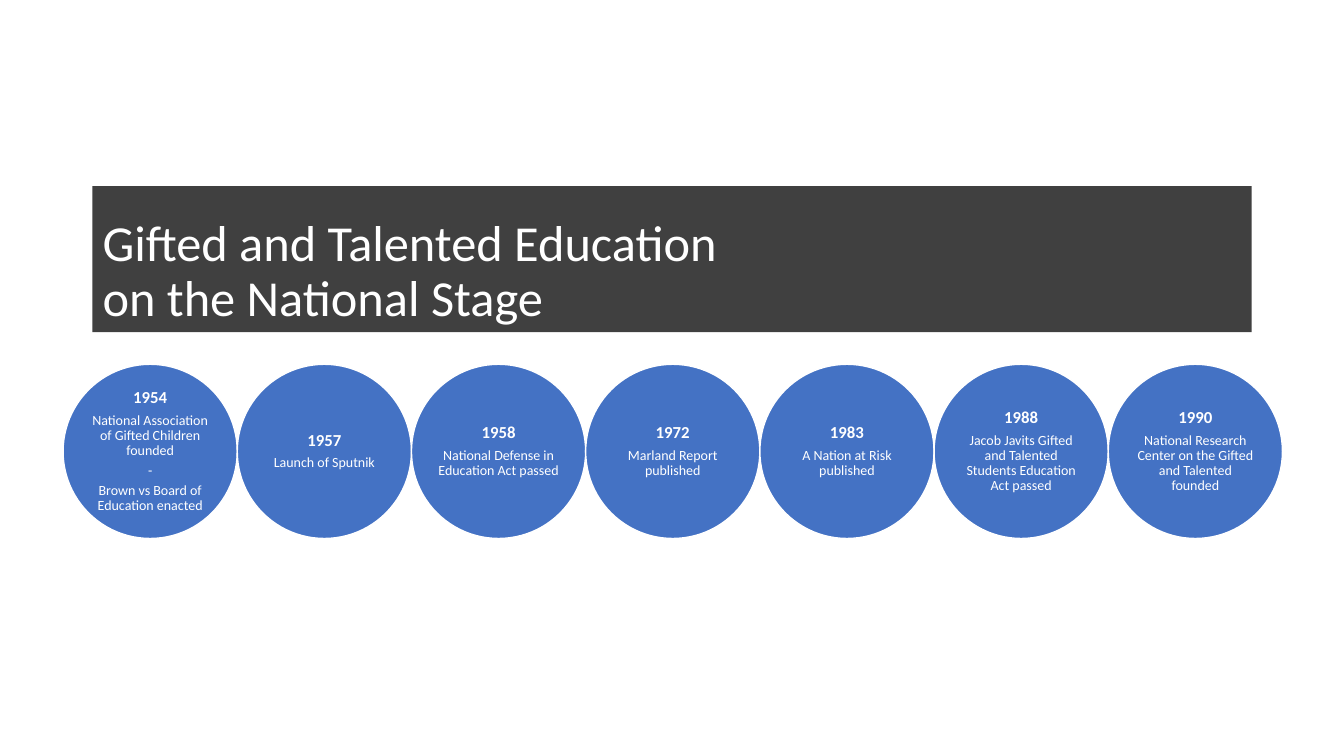
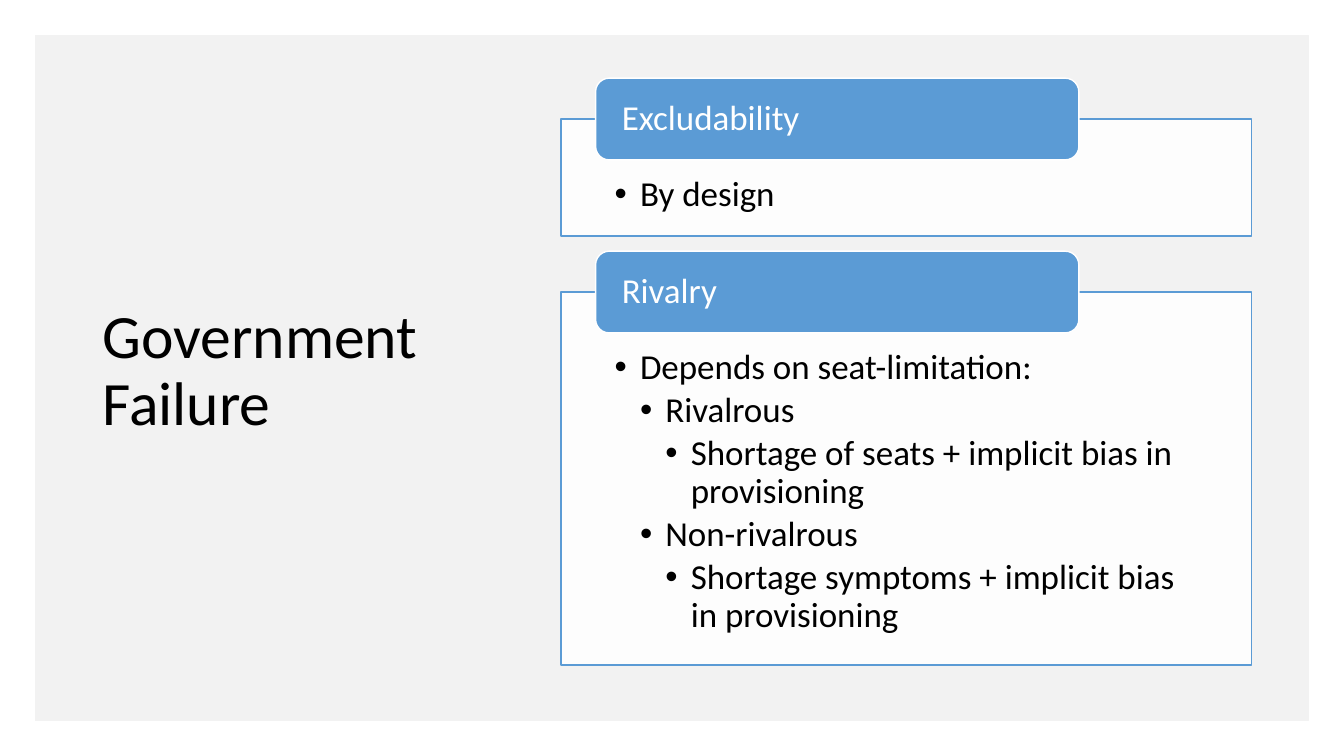
from dataclasses import dataclass

from lxml.etree import SubElement
from pptx import Presentation
from pptx.dml.color import RGBColor
from pptx.enum.shapes import MSO_SHAPE
from pptx.enum.text import MSO_ANCHOR, MSO_AUTO_SIZE, PP_ALIGN
from pptx.oxml.ns import qn
from pptx.shapes.autoshape import Shape
from pptx.slide import Slide
from pptx.text.text import TextFrame
from pptx.util import Cm, Pt

FONT = "Calibri"
COLORS = {
    "white": "FFFFFF",
    "black": "000000",
    "band": "404040",
    "panel": "F2F2F2",
    "circle": "4472C4",
    "label": "5B9BD5",
}
TITLE_LAYOUT = 5
MARGIN_LEFT = 2.33


@dataclass(frozen=True)
class Box:
    left: float
    top: float
    width: float
    height: float


@dataclass(frozen=True)
class Line:
    text: str
    size: float
    color: str
    space_after: float = 0
    bold: bool = False
    level: int = 0


@dataclass(frozen=True)
class Milestone:
    year: str
    events: tuple[str, ...]


@dataclass(frozen=True)
class Topic:
    name: str
    top: float
    height: float
    points: tuple[tuple[int, str], ...]


MILESTONES = (
    Milestone("1954", (
        "National Association of Gifted Children founded",
        "-",
        "Brown vs Board of Education enacted",
    )),
    Milestone("1957", ("Launch of Sputnik",)),
    Milestone("1958", ("National Defense in Education Act passed",)),
    Milestone("1972", ("Marland Report published",)),
    Milestone("1983", ("A Nation at Risk published",)),
    Milestone("1988", ("Jacob Javits Gifted and Talented Students Education Act passed",)),
    Milestone("1990", ("National Research Center on the Gifted and Talented founded",)),
)
TOPICS = (
    Topic("Excludability", 3, 2.95, ((1, "By design"),)),
    Topic("Rivalry", 7.36, 9.4, (
        (1, "Depends on seat-limitation:"),
        (2, "Rivalrous"),
        (3, "Shortage of seats + implicit bias in provisioning"),
        (2, "Non-rivalrous"),
        (3, "Shortage symptoms + implicit bias in provisioning"),
    )),
)


def rgb(name: str) -> RGBColor:
    return RGBColor.from_string(COLORS[name])


def place(shape: Shape, box: Box) -> None:
    shape.left, shape.top = Cm(box.left), Cm(box.top)
    shape.width, shape.height = Cm(box.width), Cm(box.height)


def set_insets(frame: TextFrame, left: float, top: float, right: float, bottom: float) -> None:
    frame.margin_left, frame.margin_top = Cm(left), Cm(top)
    frame.margin_right, frame.margin_bottom = Cm(right), Cm(bottom)


def write(frame: TextFrame, lines: list[Line], align: PP_ALIGN, anchor: MSO_ANCHOR) -> None:
    frame.word_wrap = True
    frame.auto_size = MSO_AUTO_SIZE.NONE
    frame.vertical_anchor = anchor
    for index, line in enumerate(lines):
        paragraph = frame.add_paragraph() if index else frame.paragraphs[0]
        paragraph.alignment = align
        paragraph.line_spacing = 0.9
        paragraph.space_after = Pt(line.space_after)
        for row, words in enumerate(line.text.split("\n")):
            if row:
                paragraph.add_line_break()
            run = paragraph.add_run()
            run.text = words
            run.font.name = FONT
            run.font.size = Pt(line.size)
            run.font.bold = line.bold
            run.font.color.rgb = rgb(line.color)
        if line.level:
            paragraph.level = line.level
            properties = paragraph._p.get_or_add_pPr()
            indent = Cm(0.64)
            properties.set("marL", str(indent * line.level))
            properties.set("indent", str(-indent))
            SubElement(properties, qn("a:buFont")).set("typeface", "Arial")
            SubElement(properties, qn("a:buChar")).set("char", "•")


def add_titled_slide(deck: Presentation, title: str, box: Box, size: float,
                     color: str, anchor: MSO_ANCHOR) -> Slide:
    slide = deck.slides.add_slide(deck.slide_layouts[TITLE_LAYOUT])
    heading = slide.shapes.title
    place(heading, box)
    write(heading.text_frame, [Line(title, size, color)], PP_ALIGN.LEFT, anchor)
    return slide


def add_block(slide: Slide, kind: MSO_SHAPE, box: Box, fill: str, outline: str) -> Shape:
    block = slide.shapes.add_shape(
        kind, Cm(box.left), Cm(box.top), Cm(box.width), Cm(box.height))
    block.shadow.inherit = False
    block.fill.solid()
    block.fill.fore_color.rgb = rgb(fill)
    block.line.color.rgb = rgb(outline)
    block.line.width = Pt(1)
    return block


def set_opacity(block: Shape, percent: int) -> None:
    fill_color = block.element.spPr.find(qn("a:solidFill")).find(qn("a:srgbClr"))
    SubElement(fill_color, qn("a:alpha")).set("val", str(percent * 1000))


def add_milestone(slide: Slide, milestone: Milestone, position: int) -> None:
    diameter = 4.39
    box = Box(1.59 + position * diameter, 9.18, diameter, diameter)
    circle = add_block(slide, MSO_SHAPE.OVAL, box, "circle", "white")
    set_insets(circle.text_frame, 0, 0, 0, 0)
    lines = [Line(milestone.year, 12, "white", 4.2, bold=True)]
    lines += [Line(event, 10, "white", 3.5) for event in milestone.events]
    write(circle.text_frame, lines, PP_ALIGN.CENTER, MSO_ANCHOR.MIDDLE)


def add_topic(slide: Slide, topic: Topic) -> None:
    body = add_block(slide, MSO_SHAPE.RECTANGLE,
                     Box(14.14, topic.top, 17.4, topic.height), "white", "label")
    set_opacity(body, 90)
    set_insets(body.text_frame, 1.35, 1.45, 1.35, 0.48)
    points = [Line(text, 25, "black", 3.75, level=level) for level, text in topic.points]
    write(body.text_frame, points, PP_ALIGN.LEFT, MSO_ANCHOR.TOP)

    label_height = 2.06
    label = add_block(slide, MSO_SHAPE.ROUNDED_RECTANGLE,
                      Box(15.01, topic.top - label_height / 2, 12.18, label_height),
                      "label", "white")
    set_insets(label.text_frame, 0.56, 0, 0.56, 0)
    write(label.text_frame, [Line(topic.name, 25, "white", 8.75)],
          PP_ALIGN.LEFT, MSO_ANCHOR.MIDDLE)


def build_timeline(deck: Presentation) -> None:
    slide = add_titled_slide(
        deck, "Gifted and Talented Education\non the National Stage",
        Box(MARGIN_LEFT, 4.69, 29.21, 3.68), 36, "white", MSO_ANCHOR.BOTTOM)
    band = slide.shapes.title.fill
    band.solid()
    band.fore_color.rgb = rgb("band")
    for position, milestone in enumerate(MILESTONES):
        add_milestone(slide, milestone, position)


def build_government_failure(deck: Presentation) -> None:
    slide = add_titled_slide(
        deck, "Government Failure", Box(MARGIN_LEFT, 1.73, 9.37, 15.29),
        44, "black", MSO_ANCHOR.MIDDLE)
    panel = add_block(slide, MSO_SHAPE.RECTANGLE,
                      Box(0.89, 0.89, 32.08, 17.27), "panel", "panel")
    slide.shapes.title.element.addprevious(panel.element)
    for topic in TOPICS:
        add_topic(slide, topic)


deck = Presentation()
deck.slide_width, deck.slide_height = Cm(33.87), Cm(19.05)
build_timeline(deck)
build_government_failure(deck)
deck.save("out.pptx")
